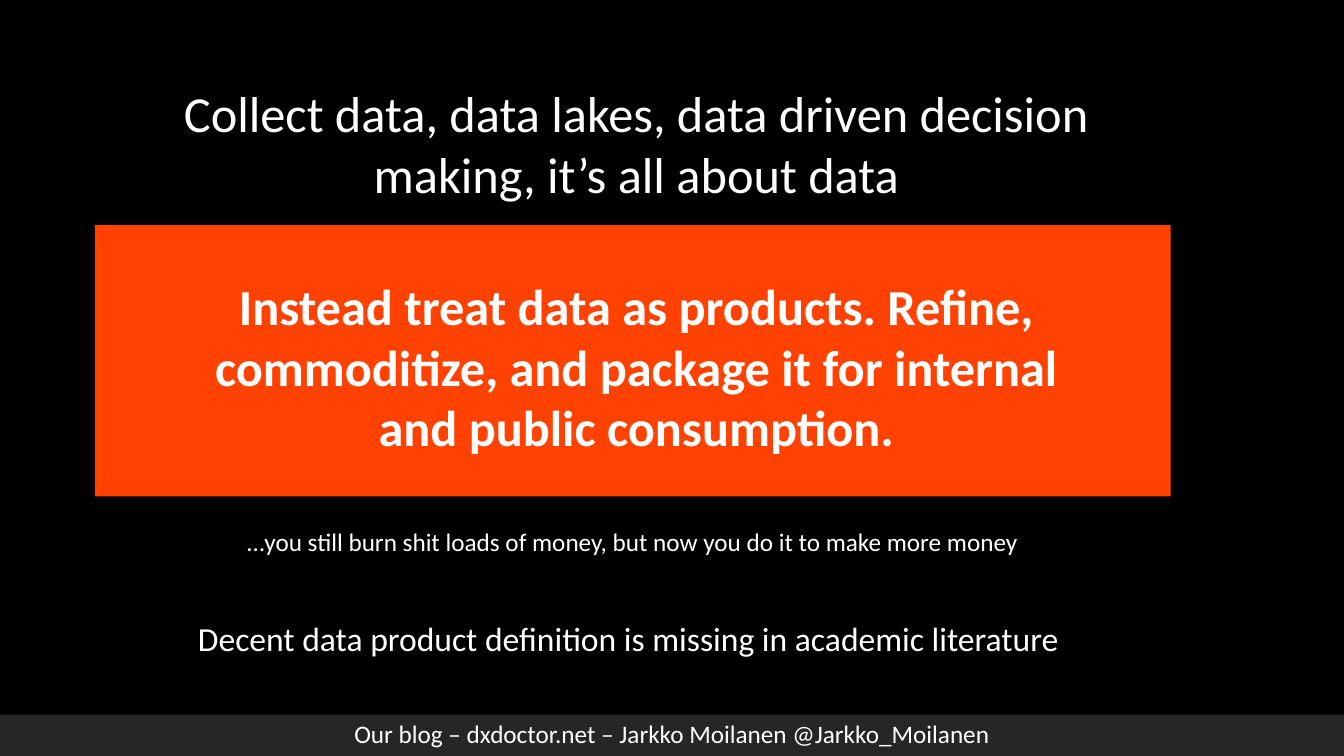
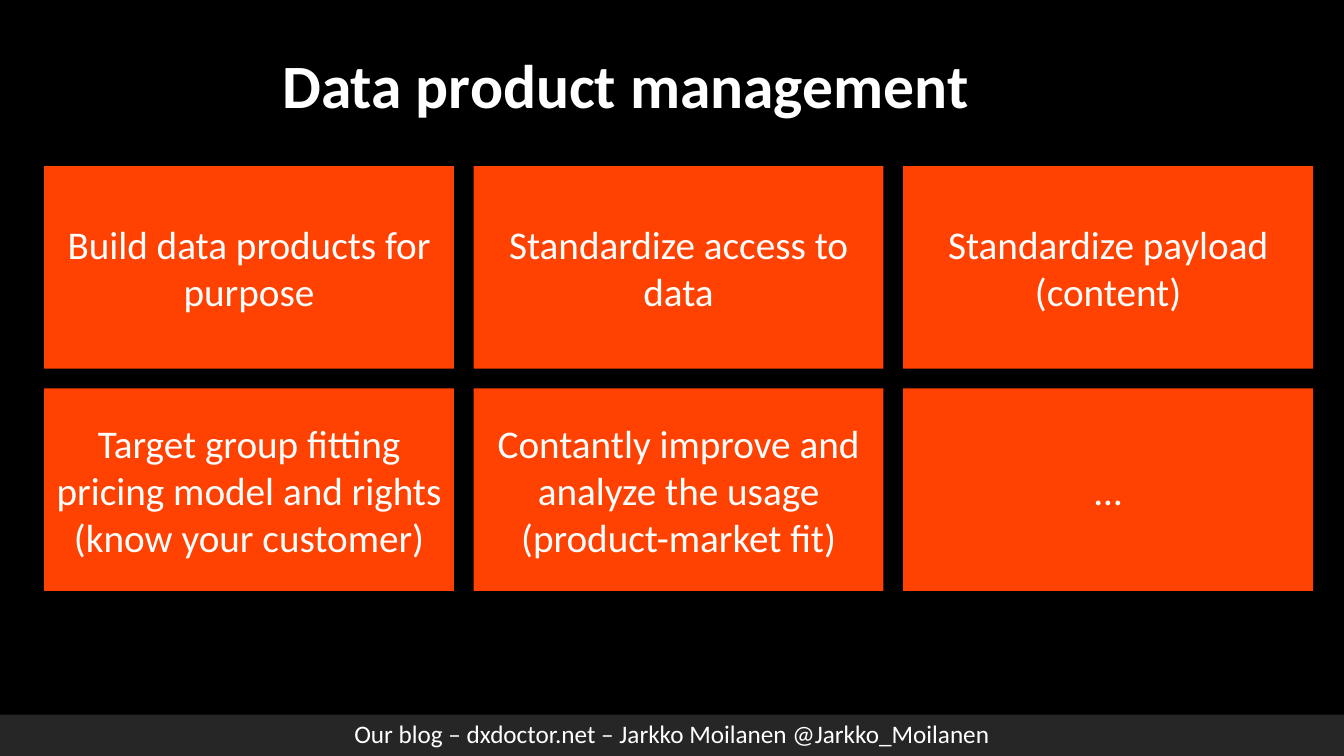
"""Build two dark slides on treating data as products."""
from pptx import Presentation
from pptx.dml.color import RGBColor
from pptx.enum.shapes import MSO_SHAPE as Shape
from pptx.enum.text import MSO_ANCHOR as Anchor, MSO_AUTO_SIZE as AutoSize, PP_ALIGN as Align
from pptx.util import Pt

COLORS = {"background": "000000", "accent": "FF4201", "footer": "262626", "text": "FFFFFF"}
FONT = "Calibri"
FOOTER = "Our blog – dxdoctor.net – Jarkko Moilanen @Jarkko_Moilanen"


def write(box, text, size=18, bold=False, align=Align.CENTER, anchor=Anchor.TOP, wrap=True, spacing=1.0):
    frame = box.text_frame
    frame.auto_size = AutoSize.NONE
    frame.word_wrap = wrap
    frame.vertical_anchor = anchor
    para = frame.paragraphs[0]
    para.alignment = align
    para.line_spacing = spacing
    span = para.add_run()
    span.text = text
    span.font.name = FONT
    span.font.size = Pt(size)
    span.font.bold = bold
    span.font.color.rgb = RGBColor.from_string(COLORS["text"])


def add_block(page, color, left, top, width, height):
    block = page.shapes.add_shape(Shape.RECTANGLE, Pt(left), Pt(top), Pt(width), Pt(height))
    block.shadow.inherit = False
    block.fill.solid()
    block.fill.fore_color.rgb = RGBColor.from_string(COLORS[color])
    block.line.fill.background()
    return block


deck = Presentation()
deck.slide_width, deck.slide_height = Pt(960), Pt(540)
backdrop = deck.slide_master.background.fill
backdrop.solid()
backdrop.fore_color.rgb = RGBColor.from_string(COLORS["background"])

titles = [
    ("Collect data, data lakes, data driven decision making, it’s all about data",
     (123.8, 55.4, 661.7, 94.3), {"size": 36}),
    ("Data product management", (194.4, 30.2, 509.8, 60.5),
     {"size": 44, "bold": True, "align": Align.LEFT, "wrap": False}),
]
pages = []
for text, place, style in titles:
    page = deck.slides.add_slide(deck.slide_layouts[5])
    title = page.shapes.title
    title.left, title.top, title.width, title.height = map(Pt, place)
    write(title, text, **style)
    footer = add_block(page, "footer", 0, 510.5, 960, 29.5)
    write(footer, FOOTER, anchor=Anchor.MIDDLE, spacing=0.9)
    pages.append(page)
message_page, management_page = pages

add_block(message_page, "accent", 67.7, 160.8, 768.5, 193.7)
messages = [
    ("Instead treat data as products. Refine, commoditize, and package it for internal and public consumption.",
     (123.8, 193, 661.7, 138), {"size": 36, "bold": True}),
    ("…you still burn shit loads of money, but now you do it to make more money",
     (121, 372.5, 661.7, 29), {}),
    ("Decent data product definition is missing in academic literature",
     (134.3, 438, 635.8, 36), {"size": 24, "align": Align.LEFT, "wrap": False}),
]
for text, place, style in messages:
    write(message_page.shapes.add_textbox(*map(Pt, place)), text, **style)

practices = [
    "Build data products for purpose",
    "Standardize access to data",
    "Standardize payload (content)",
    "Target group fitting pricing model and rights (know your customer)",
    "Contantly improve and analyze the usage (product-market fit)",
    "…",
]
card_width, card_height, gap = 292.8, 144.8, 14
for index, practice in enumerate(practices):
    row, column = divmod(index, 3)
    left = 31.5 + column * (card_width + gap)
    top = 118.6 + row * (card_height + gap)
    card = add_block(management_page, "accent", left, top, card_width, card_height)
    write(card, practice, size=28, anchor=Anchor.MIDDLE)

deck.save("out.pptx")
